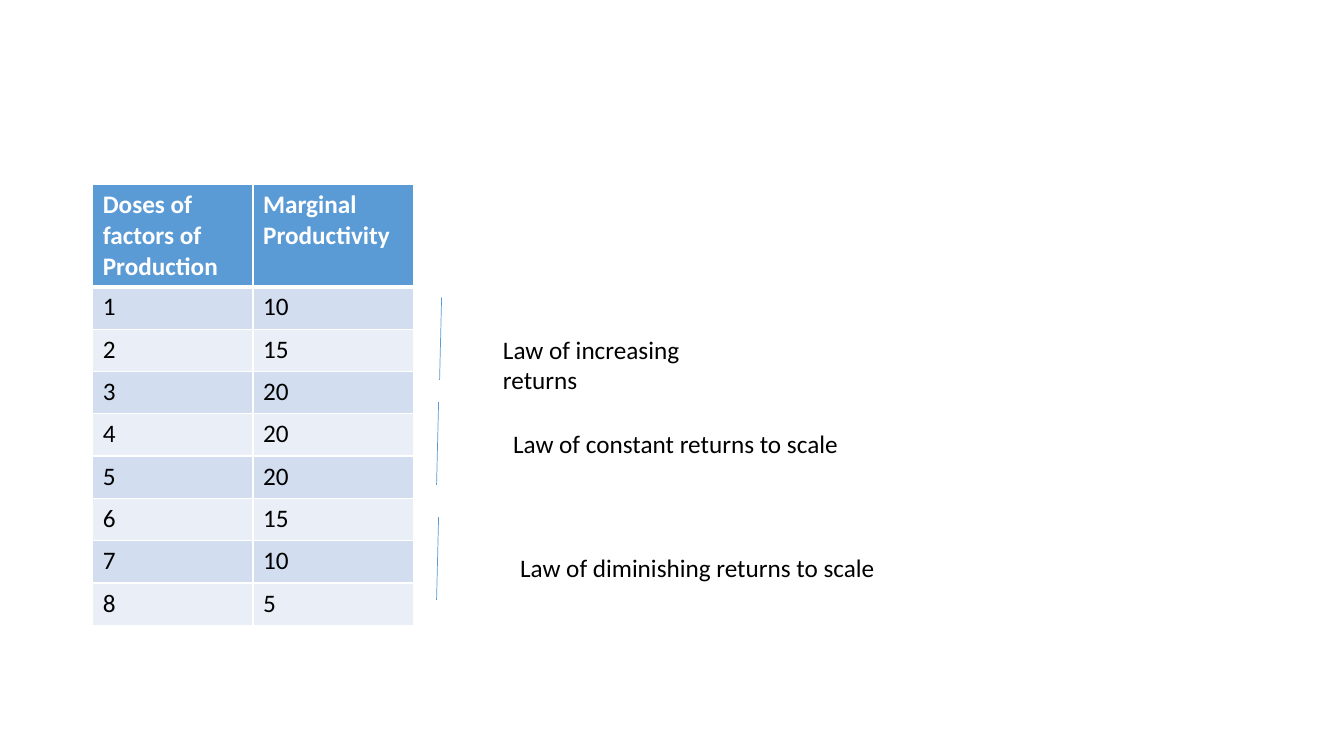
import pptx
import pptx.util
import pptx.dml.color
import pptx.enum.shapes
import pptx.enum.text
import pptx.oxml
import pptx.oxml.ns

SCALE = 9144  # EMU in one px, 100 px to the inch
HUES = {"head": "5B9BD5", "odd": "D2DEEF", "even": "EAEFF7",
        "white": "FFFFFF", "black": "000000"}


def emu(px):
    return pptx.util.Emu(px * SCALE)


def rgb(hue):
    return pptx.dml.color.RGBColor.from_string(HUES[hue])


class Deck:
    """Holds the text style and the current slide."""

    def __init__(self, wide, high):
        self.show = pptx.Presentation()
        self.show.slide_width = emu(wide)
        self.show.slide_height = emu(high)
        self.slide = self.show.slides.add_slide(self.show.slide_layouts[6])
        self.style = {"name": "Calibri", "size": pptx.util.Pt(18), "bold": False}

    def words(self, frame, text, hue, **extra):
        run = frame.paragraphs[0].add_run()
        run.text = text
        for key, value in {**self.style, **extra}.items():
            setattr(run.font, key, value)
        run.font.color.rgb = rgb(hue)

    def edge(self, cell, **sides):
        props = cell._tc.get_or_add_tcPr()
        for side, width in sides.items():
            props.append(pptx.oxml.parse_xml(
                f'<a:ln{side} {pptx.oxml.ns.nsdecls("a")} w="{width * 12700}">'
                f'<a:solidFill><a:srgbClr val="{HUES["white"]}"/></a:solidFill>'
                f'</a:ln{side}>'))

    def table(self, left, top, wide, highs, rows):
        count = len(rows[0])
        grid = self.slide.shapes.add_table(
            len(rows), count, emu(left), emu(top),
            emu(wide * count), emu(sum(highs))).table
        for col in grid.columns:
            col.width = emu(wide)
        for i, (row, high) in enumerate(zip(rows, highs)):
            grid.rows[i].height = emu(high)
            head = i == 0
            fill = "head" if head else "odd" if i % 2 else "even"
            for j, text in enumerate(row):
                cell = grid.cell(i, j)
                self.words(cell.text_frame, str(text),
                           "white" if head else "black", bold=head)
                self.edge(cell, L=1, R=1, T=3 if i == 1 else 1, B=3 if head else 1)
                cell.fill.solid()
                cell.fill.fore_color.rgb = rgb(fill)

    def line(self, *ends):
        line = self.slide.shapes.add_connector(
            pptx.enum.shapes.MSO_CONNECTOR.STRAIGHT, *map(emu, ends))
        line.line.color.rgb = rgb("head")
        line.line.width = pptx.util.Pt(0.5)
        line._element.spPr.append(pptx.oxml.parse_xml(
            f'<a:effectLst {pptx.oxml.ns.nsdecls("a")}/>'))

    def label(self, left, top, wide, high, text, wrap):
        frame = self.slide.shapes.add_textbox(
            *map(emu, (left, top, wide, high))).text_frame
        frame.word_wrap = wrap
        frame.auto_size = pptx.enum.text.MSO_AUTO_SIZE.SHAPE_TO_FIT_TEXT
        self.words(frame, text, "black")


def main():
    deck = Deck(1333, 750)

    # Doses and their marginal productivity
    yields = [10, 15, 20, 20, 20, 15, 10, 5]
    rows = [("Doses of factors of Production", "Marginal Productivity")]
    rows += enumerate(yields, 1)
    deck.table(92, 183, 159, [100] + [42] * len(yields), rows)

    # Lines that mark each stage
    for left, top in ((436, 295), (433, 399), (433, 513)):
        deck.line(left + 2, top, left, top + 82)

    # Law at work in each stage
    for left, top, wide, text, wrap in (
            (489, 327, 274, "Law of increasing returns", False),
            (499, 420, 418, "Law of constant returns to scale", True),
            (506, 543, 445, "Law of diminishing returns to scale", True)):
        deck.label(left, top, wide, 40, text, wrap)

    deck.show.save("out.pptx")


if __name__ == "__main__":
    main()
